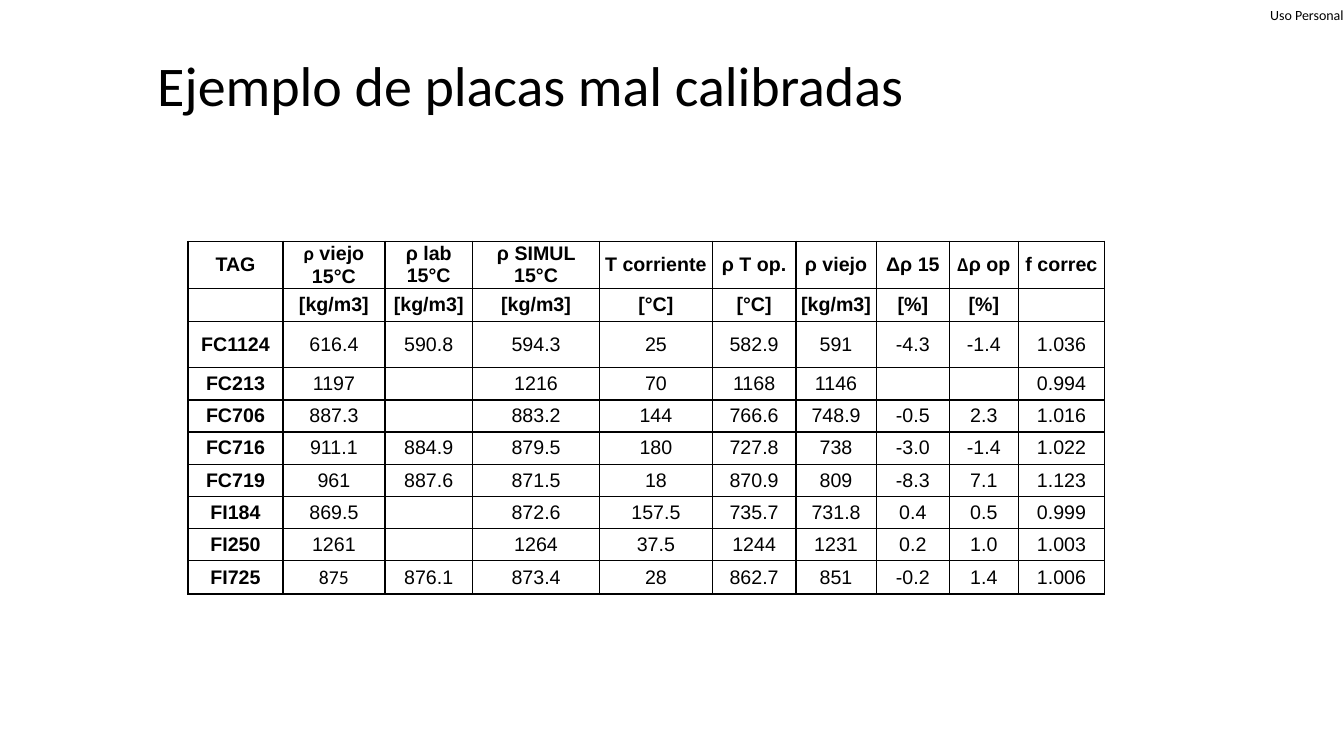
from lxml.etree import SubElement
from pptx import Presentation
from pptx.dml.color import RGBColor
from pptx.enum.text import MSO_ANCHOR as Anchor, MSO_AUTO_SIZE as AutoSize, PP_ALIGN as Align
from pptx.oxml.ns import qn
from pptx.util import Cm, Pt

BLACK = RGBColor(0x00, 0x00, 0x00)
WHITE = RGBColor(0xFF, 0xFF, 0xFF)

COLUMN_WIDTHS = [2.39, 2.57, 2.21, 3.2, 2.84, 2.11, 2.02, 1.85, 1.73, 2.18]
ROW_HEIGHTS = [1.18, 0.84, 1.16] + [0.81] * 6 + [0.84]
HEADER_ROWS = 2
# A tuple holds the runs of a cell as (text, font).
ROWS = [
    ["TAG", (("ρ", "Calibri"), (" viejo 15°C", "Arial")), "ρ lab 15°C", "ρ SIMUL 15°C",
     "T corriente", "ρ T op.", "ρ viejo", "Δρ 15",
     (("Δ", "Calibri"), ("ρ op", "Arial")), "f correc"],
    ["", "[kg/m3]", "[kg/m3]", "[kg/m3]", "[°C]", "[°C]", "[kg/m3]", "[%]", "[%]", ""],
    ["FC1124", "616.4", "590.8", "594.3", "25", "582.9", "591", "-4.3", "-1.4", "1.036"],
    ["FC213", "1197", "", "1216", "70", "1168", "1146", "", "", "0.994"],
    ["FC706", "887.3", "", "883.2", "144", "766.6", "748.9", "-0.5", "2.3", "1.016"],
    ["FC716", "911.1", "884.9", "879.5", "180", "727.8", "738", "-3.0", "-1.4", "1.022"],
    ["FC719", "961", "887.6", "871.5", "18", "870.9", "809", "-8.3", "7.1", "1.123"],
    ["FI184", "869.5", "", "872.6", "157.5", "735.7", "731.8", "0.4", "0.5", "0.999"],
    ["FI250", "1261", "", "1264", "37.5", "1244", "1231", "0.2", "1.0", "1.003"],
    ["FI725", (("875", "Calibri"),), "876.1", "873.4", "28", "862.7", "851", "-0.2", "1.4",
     "1.006"],
]


def write_text(tf, text, size, font="Calibri", bold=False, align=Align.LEFT):
    """Fill the first paragraph with a string or a tuple of (text, font) runs."""
    p = tf.paragraphs[0]
    p.alignment = align
    runs = ((text, font),) if isinstance(text, str) else text
    for content, name in runs:
        if not content:
            continue
        r = p.add_run()
        r.text = content
        r.font.name = name
        r.font.size = Pt(size)
        r.font.bold = bold
        r.font.color.rgb = BLACK


def add_text_box(s, left, top, width, height, text, margin=None, wrap=False,
                 anchor=Anchor.TOP, **style):
    box = s.shapes.add_textbox(Cm(left), Cm(top), Cm(width), Cm(height))
    tf = box.text_frame
    tf.word_wrap = wrap
    tf.auto_size = AutoSize.SHAPE_TO_FIT_TEXT
    tf.vertical_anchor = anchor
    if margin is not None:
        tf.margin_left = tf.margin_right = tf.margin_top = tf.margin_bottom = Cm(margin)
    write_text(tf, text, **style)


def add_borders(cell, width=1):
    tc_pr = cell._tc.get_or_add_tcPr()
    for side in ("a:lnL", "a:lnR", "a:lnT", "a:lnB"):
        line = SubElement(tc_pr, qn(side), w=str(Pt(width)))
        fill = SubElement(line, qn("a:solidFill"))
        SubElement(fill, qn("a:srgbClr"), val=str(BLACK))


def format_cell(cell, text, bold):
    cell.margin_left = cell.margin_right = Cm(0.12)
    cell.margin_top = cell.margin_bottom = 0
    cell.vertical_anchor = Anchor.MIDDLE
    add_borders(cell)
    cell.fill.solid()
    cell.fill.fore_color.rgb = WHITE
    write_text(cell.text_frame, text, size=14, font="Arial", bold=bold, align=Align.CENTER)


def add_calibration_table(s, left, top):
    frame = s.shapes.add_table(len(ROWS), len(COLUMN_WIDTHS), Cm(left), Cm(top),
                               Cm(sum(COLUMN_WIDTHS)), Cm(sum(ROW_HEIGHTS)))
    table = frame.table
    table.first_row = table.horz_banding = False
    for column, width in zip(table.columns, COLUMN_WIDTHS):
        column.width = Cm(width)
    for row, height in zip(table.rows, ROW_HEIGHTS):
        row.height = Cm(height)
    for i, values in enumerate(ROWS):
        for j, value in enumerate(values):
            format_cell(table.cell(i, j), value, bold=i < HEADER_ROWS or j == 0)


def main():
    prs = Presentation()
    prs.slide_width, prs.slide_height = Cm(33.87), Cm(19.05)
    s = prs.slides.add_slide(prs.slide_layouts[6])
    add_text_box(s, 31.22, 0, 2.64, 0.74, "Uso Personal", margin=0, wrap=True,
                 anchor=Anchor.MIDDLE, size=10, align=Align.RIGHT)
    add_calibration_table(s, 4.74, 6.08)
    add_text_box(s, 3.71, 1.14, 19.51, 1.96, "Ejemplo de placas mal calibradas", size=40)
    prs.save("out.pptx")


if __name__ == "__main__":
    main()
